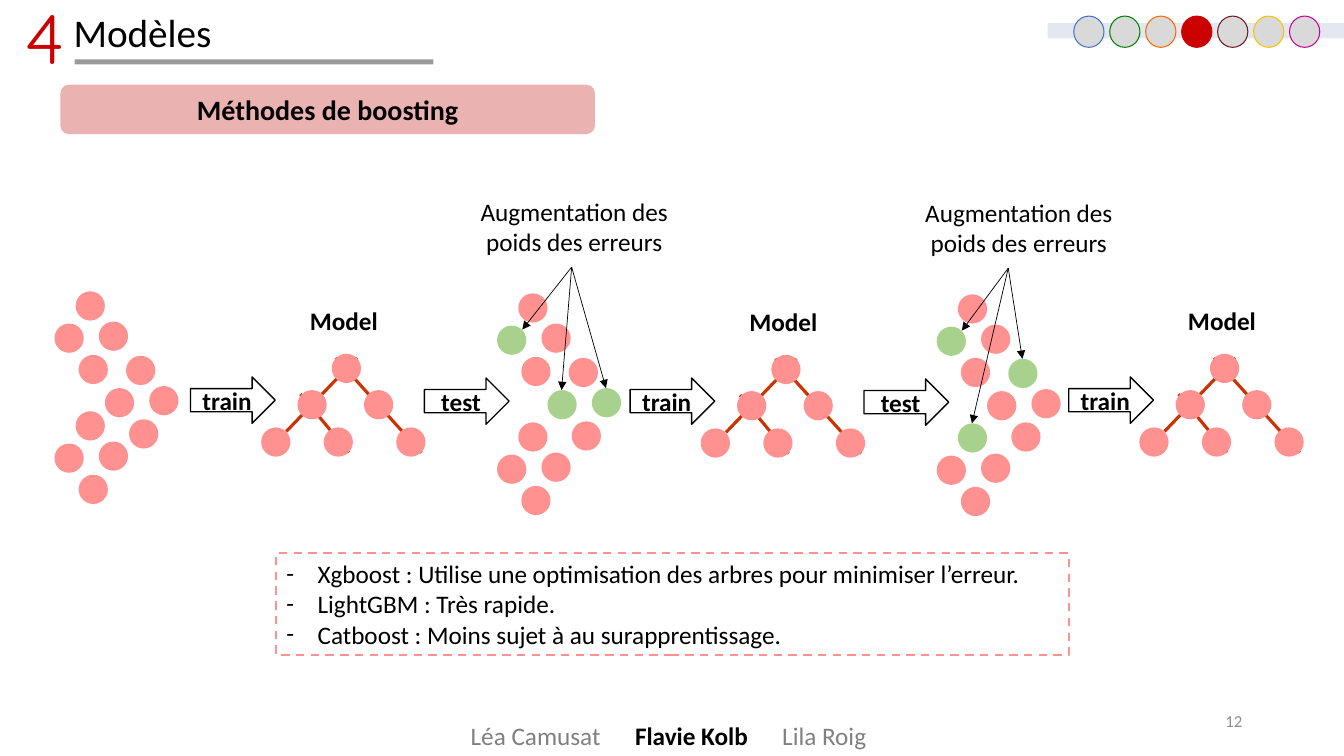
from dataclasses import dataclass

from lxml.etree import SubElement
from pptx import Presentation
from pptx.dml.color import RGBColor
from pptx.enum.dml import MSO_LINE
from pptx.enum.shapes import MSO_CONNECTOR, MSO_SHAPE
from pptx.enum.text import MSO_ANCHOR, MSO_AUTO_SIZE, PP_ALIGN
from pptx.oxml.ns import qn
from pptx.util import Inches, Pt

COLS, ROWS = 13.33, 7.5


@dataclass(frozen=True)
class Theme:
    """Colours, fonts and type sizes."""
    font: str = "Calibri"
    thin: str = "Quicksand"
    ink: str = "000000"
    grey: str = "808080"
    pale: str = "8C8C8C"
    off: str = "D9D9D9"
    band: str = "DBE1ED"
    red: str = "CC0000"
    deep: str = "C00000"
    rose: str = "FF9191"
    green: str = "A9D18E"
    edge: str = "CC3300"
    rings: tuple = ("4472C4", "008000", "FF6600", "CC0000", "701920", "FFC000", "CC0099")
    small: int = 12
    text: int = 18
    head: int = 20
    title: int = 28
    mark: int = 50


T = Theme()


@dataclass(frozen=True)
class Box:
    """A region in grid columns and rows."""
    x: float
    y: float
    w: float = 0
    h: float = 0

    def sub(self, x, y, w=0, h=0):
        """Return a region placed relative to this one."""
        return Box(self.x + x, self.y + y, w, h)

    def emu(self):
        """Return left, top, width and height in EMU."""
        return [Inches(v) for v in (self.x, self.y, self.w, self.h)]


def rgb(code):
    """Turn a hex code into a colour."""
    return RGBColor.from_string(code)


def style(frame, size, color=T.ink, bold=False, align=PP_ALIGN.LEFT, font=T.font):
    """Format every run of a text frame."""
    frame.word_wrap = True
    for par in frame.paragraphs:
        par.alignment = align
        for run in par.runs:
            run.font.size, run.font.bold, run.font.name = Pt(size), bold, font
            run.font.color.rgb = rgb(color)


def label(slide, box, text, size=T.text, **look):
    """Add a text box."""
    frame = slide.shapes.add_textbox(*box.emu()).text_frame
    frame.text = text
    style(frame, size, **look)
    return frame


def form(slide, kind, box, fill=None, line=None, width=0.75, alpha=None):
    """Add a flat preset shape."""
    shape = slide.shapes.add_shape(kind, *box.emu())
    shape.shadow.inherit = False
    if fill:
        shape.fill.solid()
        shape.fill.fore_color.rgb = rgb(fill)
    else:
        shape.fill.background()
    if line:
        shape.line.color.rgb = rgb(line)
        shape.line.width = Pt(width)
    else:
        shape.line.fill.background()
    if alpha:
        tint = shape.fill._xPr.find(qn("a:solidFill"))[0]
        SubElement(tint, qn("a:alpha"), val=str(alpha * 1000))
    return shape


def link(slide, start, end, color, width, arrow=False):
    """Add a straight line, with an arrowhead if asked."""
    ends = [Inches(v) for v in (start.x, start.y, end.x, end.y)]
    line = slide.shapes.add_connector(MSO_CONNECTOR.STRAIGHT, *ends)
    line.line.color.rgb = rgb(color)
    line.line.width = Pt(width)
    if arrow:
        SubElement(line.line._get_or_add_ln(), qn("a:tailEnd"), type="triangle")
    SubElement(line._element.spPr, qn("a:effectLst"))


def place(shape, box):
    """Move a placeholder into a region."""
    shape.left, shape.top, shape.width, shape.height = box.emu()
    shape.text_frame.auto_size = MSO_AUTO_SIZE.NONE
    shape.text_frame.vertical_anchor = MSO_ANCHOR.TOP


def header(slide, box):
    """Place the title, its number and the rule below."""
    title = slide.shapes.title
    place(title, box.sub(0.48, 0.13, 4.56, 0.57))
    title.text_frame.text = "Modèles"
    style(title.text_frame, T.title)
    label(slide, box.sub(0, 0, 0.66, 0.94), "4", T.mark, color=T.red, font=T.thin)
    form(slide, MSO_SHAPE.RECTANGLE, box.sub(0.59, 0.69, 3.56, 0.05), T.grey, alpha=80)


def progress(slide, box):
    """Place the band of section dots with the fourth one lit."""
    form(slide, MSO_SHAPE.RECTANGLE, box.sub(0, 0.07, box.w, 0.15), T.band, alpha=80)
    for i, ring in enumerate(T.rings):
        fill = T.red if i == 3 else T.off
        form(slide, MSO_SHAPE.OVAL, box.sub(0.26 + i * 2.14 / 6, 0, 0.3, 0.31), fill, ring)


def banner(slide, box):
    """Place the section heading."""
    shape = form(slide, MSO_SHAPE.ROUNDED_RECTANGLE, box, T.deep, alpha=30)
    shape.text_frame.text = "Méthodes de boosting"
    shape.text_frame.vertical_anchor = MSO_ANCHOR.MIDDLE
    style(shape.text_frame, T.head, bold=True, align=PP_ALIGN.CENTER)


def step(slide, box, text):
    """Place a block arrow with its word."""
    shape = form(slide, MSO_SHAPE.RIGHT_ARROW, box.sub(0, 0, 0.84, 0.46), line=T.ink, width=1)
    shape.text_frame.text = text
    shape.text_frame.vertical_anchor = MSO_ANCHOR.MIDDLE
    style(shape.text_frame, T.text, bold=True, align=PP_ALIGN.CENTER)


def dot(slide, box, color=T.rose):
    """Place one sample or node."""
    form(slide, MSO_SHAPE.OVAL, box.sub(0, 0, 0.29, 0.29), color)


def cloud(slide, box, drop, wrong=()):
    """Place three groups of four samples and return their regions."""
    group = ((0.21, 0), (0.44, 0.3), (0, 0.32), (0.24, 0.63))
    spots = [box.sub(gx + x, gy + y)
             for gx, gy in ((0, 0), (0.5, 0.64), (0, drop)) for x, y in group]
    for i, spot in enumerate(spots):
        dot(slide, spot, T.green if i in wrong else T.rose)
    return spots


def tree(slide, box):
    """Place the train arrow, the model label and the tree."""
    step(slide, box.sub(-0.7, 0.23), "train")
    edges = ((0.95, 0.04, 0.25, 0.77), (0.74, 0.04, 1.59, 0.98), (0.39, 0.4, 0.87, 0.98))
    for x1, y1, x2, y2 in edges:
        link(slide, box.sub(x1, y1), box.sub(x2, y2), T.edge, 2.25)
    nodes = ((0.7, 0), (0.36, 0.36), (1.02, 0.36), (0, 0.73), (0.62, 0.73), (1.34, 0.73))
    for x, y in nodes:
        dot(slide, box.sub(x, y))
    label(slide, box.sub(0, -0.53, 1.64, 0.4), "Model", bold=True, align=PP_ALIGN.CENTER)


def errors(slide, box, wrong, note, tip):
    """Place the test arrow, the samples and the note on wrong ones."""
    step(slide, box.sub(-0.72, 0.84), "test")
    spots = cloud(slide, box, 1.28, wrong)
    for i in wrong:
        end = spots[i].sub(0.25, 0.04) if i == 2 else spots[i].sub(0.14, 0)
        link(slide, box.sub(tip, -0.26), end, T.ink, 0.5, True)
    label(slide, box.sub(note, -1.01, 2.29, 0.71), "Augmentation des poids des erreurs",
          align=PP_ALIGN.CENTER)


def methods(slide, box):
    """Place the dashed list of methods."""
    body = slide.placeholders[1]
    place(body, box)
    body.line.color.rgb = rgb(T.rose)
    body.line.width = Pt(1.5)
    body.line.dash_style = MSO_LINE.DASH
    frame = body.text_frame
    frame.text = ("Xgboost : Utilise une optimisation des arbres pour minimiser l’erreur.\n"
                  "LightGBM : Très rapide.\n"
                  "Catboost : Moins sujet à au surapprentissage.")
    style(frame, T.text)
    for par in frame.paragraphs:
        par.space_before = Pt(0)
        props = par._p.get_or_add_pPr()
        props.set("marL", str(Inches(0.31)))
        props.set("indent", str(Inches(-0.31)))
        SubElement(props, qn("a:buFont"), typeface=T.font)
        SubElement(props, qn("a:buChar"), char="-")


def footer(slide, box):
    """Place the authors and the page number."""
    authors = ((4.57, 1.6, "Léa Camusat", T.grey), (6.2, 1.4, "Flavie Kolb", T.ink),
               (7.66, 1.2, "Lila Roig", T.grey))
    for x, wide, name, color in authors:
        label(slide, box.sub(x, 0.15, wide, 0.4), name, color=color, bold=color == T.ink)
    page = label(slide, box.sub(9.42, 0, 3, 0.4), "12", T.small, color=T.pale,
                 align=PP_ALIGN.RIGHT)
    page.vertical_anchor = MSO_ANCHOR.MIDDLE


def main():
    """Build the deck and save it."""
    deck = Presentation()
    deck.slide_width, deck.slide_height = Inches(COLS), Inches(ROWS)
    slide = deck.slides.add_slide(deck.slide_layouts[1])
    header(slide, Box(0.15, -0.1))
    progress(slide, Box(10.39, 0.16, 2.94))
    banner(slide, Box(0.6, 0.84, 5.3, 0.49))
    cloud(slide, Box(0.54, 2.89), 1.19)
    errors(slide, Box(4.93, 2.91), (2, 6, 5), -0.38, 0.74)
    errors(slide, Box(9.29, 2.92), (2, 8, 4), -0.33, 0.71)
    for x, y in ((2.59, 3.51), (6.95, 3.52), (11.3, 3.51)):
        tree(slide, Box(x, y))
    methods(slide, Box(2.74, 5.49, 7.86, 1.01))
    footer(slide, Box(0, 6.95))
    deck.save("out.pptx")


if __name__ == "__main__":
    main()
